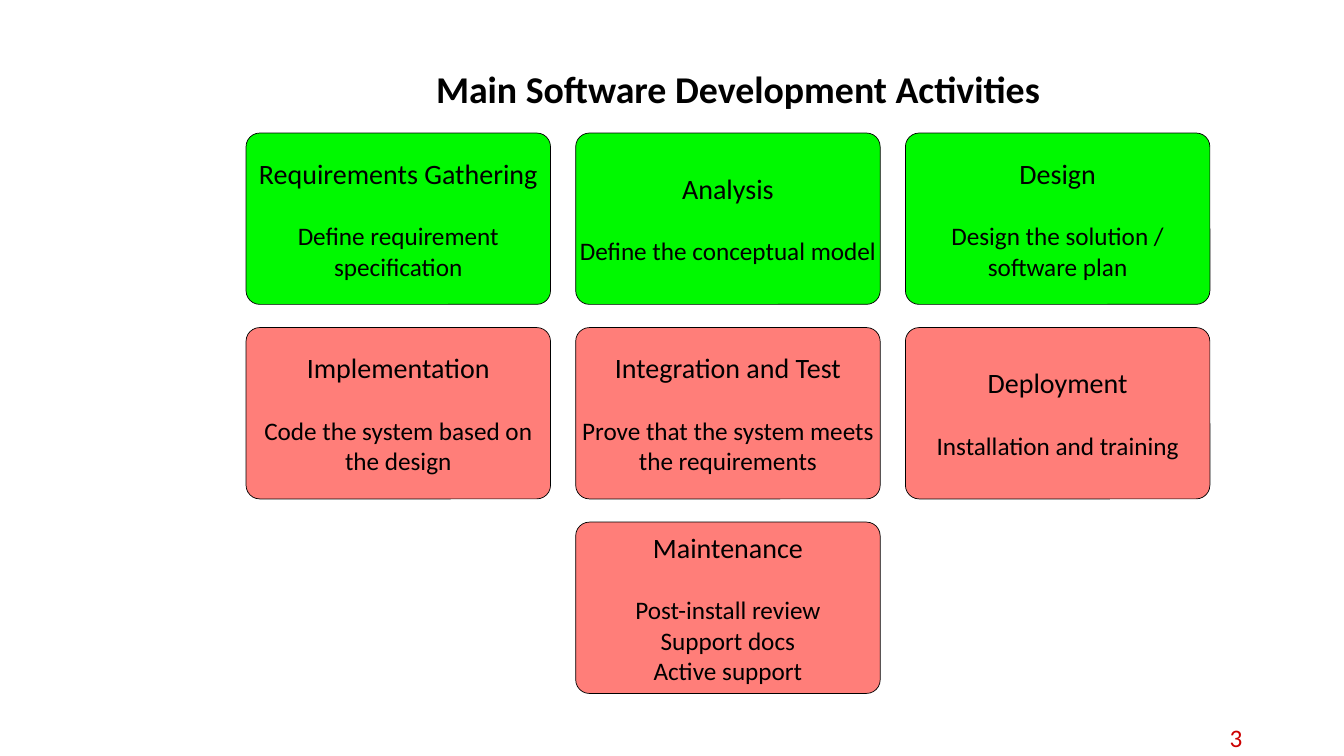
from pptx import Presentation
from pptx.dml.color import RGBColor
from pptx.enum.shapes import MSO_SHAPE
from pptx.enum.text import MSO_ANCHOR, PP_ALIGN
from pptx.util import Inches, Pt

BLACK = RGBColor(0x00, 0x00, 0x00)
RED = RGBColor(0xCC, 0x00, 0x00)
GREEN = RGBColor(0x00, 0xF9, 0x00)
SALMON = RGBColor(0xFF, 0x7E, 0x79)

CARD_WIDTH, CARD_HEIGHT = 3.02, 1.7
COLUMN_STEP, ROW_STEP = 3.27, 1.93

# Column, row, fill, heading, detail lines
ACTIVITIES = [
    (0, 0, GREEN, "Requirements Gathering", ["Define requirement specification"]),
    (1, 0, GREEN, "Analysis", ["Define the conceptual model"]),
    (2, 0, GREEN, "Design", ["Design the solution / software plan"]),
    (0, 1, SALMON, "Implementation", ["Code the system based on the design"]),
    (1, 1, SALMON, "Integration and Test",
     ["Prove that the system meets the requirements"]),
    (2, 1, SALMON, "Deployment", ["Installation and training"]),
    (1, 2, SALMON, "Maintenance",
     ["Post-install review", "Support docs", "Active support"]),
]


def set_attributes(target, values):
    for name, value in values.items():
        setattr(target, name, value)


def write_paragraph(paragraph, text, size, color=BLACK, bold=False, **layout):
    span = paragraph.add_run()
    span.text = text
    set_attributes(span.font, {"name": "Calibri", "size": Pt(size), "bold": bold})
    span.font.color.rgb = color
    set_attributes(paragraph, layout)


def add_title(page, left, top, width, height):
    title = page.shapes.title
    set_attributes(title, {"left": Inches(left), "top": Inches(top),
                           "width": Inches(width), "height": Inches(height)})
    title.text_frame.vertical_anchor = MSO_ANCHOR.MIDDLE
    write_paragraph(title.text_frame.paragraphs[0],
                    "Main Software Development Activities", 27, bold=True,
                    alignment=PP_ALIGN.CENTER, line_spacing=0.9)


def add_card(page, left, top, fill, heading, details):
    card = page.shapes.add_shape(
        MSO_SHAPE.ROUNDED_RECTANGLE, Inches(left), Inches(top),
        Inches(CARD_WIDTH), Inches(CARD_HEIGHT))
    card.adjustments[0] = 0.08
    card.shadow.inherit = False
    card.fill.solid()
    card.fill.fore_color.rgb = fill
    card.line.color.rgb = BLACK
    card.line.width = Pt(0.5)

    frame = card.text_frame
    set_attributes(frame, {"margin_left": 0, "margin_right": 0,
                           "margin_top": 0, "margin_bottom": 0,
                           "word_wrap": True,
                           "vertical_anchor": MSO_ANCHOR.MIDDLE})
    write_paragraph(frame.paragraphs[0], heading, 20, alignment=PP_ALIGN.CENTER)
    for index, detail in enumerate(details):
        # One line of space separates the heading from its details
        write_paragraph(frame.add_paragraph(), detail, 18,
                        alignment=PP_ALIGN.CENTER,
                        space_before=Pt(0 if index else 22))


def add_activity_grid(page, left, top):
    for column, row, fill, heading, details in ACTIVITIES:
        add_card(page, left + column * COLUMN_STEP, top + row * ROW_STEP,
                 fill, heading, details)


def add_page_number(page, left, top, width, height):
    box = page.shapes.add_textbox(Inches(left), Inches(top),
                                  Inches(width), Inches(height))
    set_attributes(box.text_frame, {"word_wrap": True,
                                    "vertical_anchor": MSO_ANCHOR.MIDDLE})
    write_paragraph(box.text_frame.paragraphs[0], "3", 18, RED,
                    alignment=PP_ALIGN.RIGHT)


def main():
    deck = Presentation()
    deck.slide_width, deck.slide_height = Inches(13.33), Inches(7.5)
    page = deck.slides.add_slide(deck.slide_layouts[5])
    add_page_number(page, 9.42, 7.14, 3, 0.36)
    add_title(page, 2.23, 0.4, 10.18, 1.02)
    add_activity_grid(page, 2.44, 1.32)
    deck.save("out.pptx")


if __name__ == "__main__":
    main()
